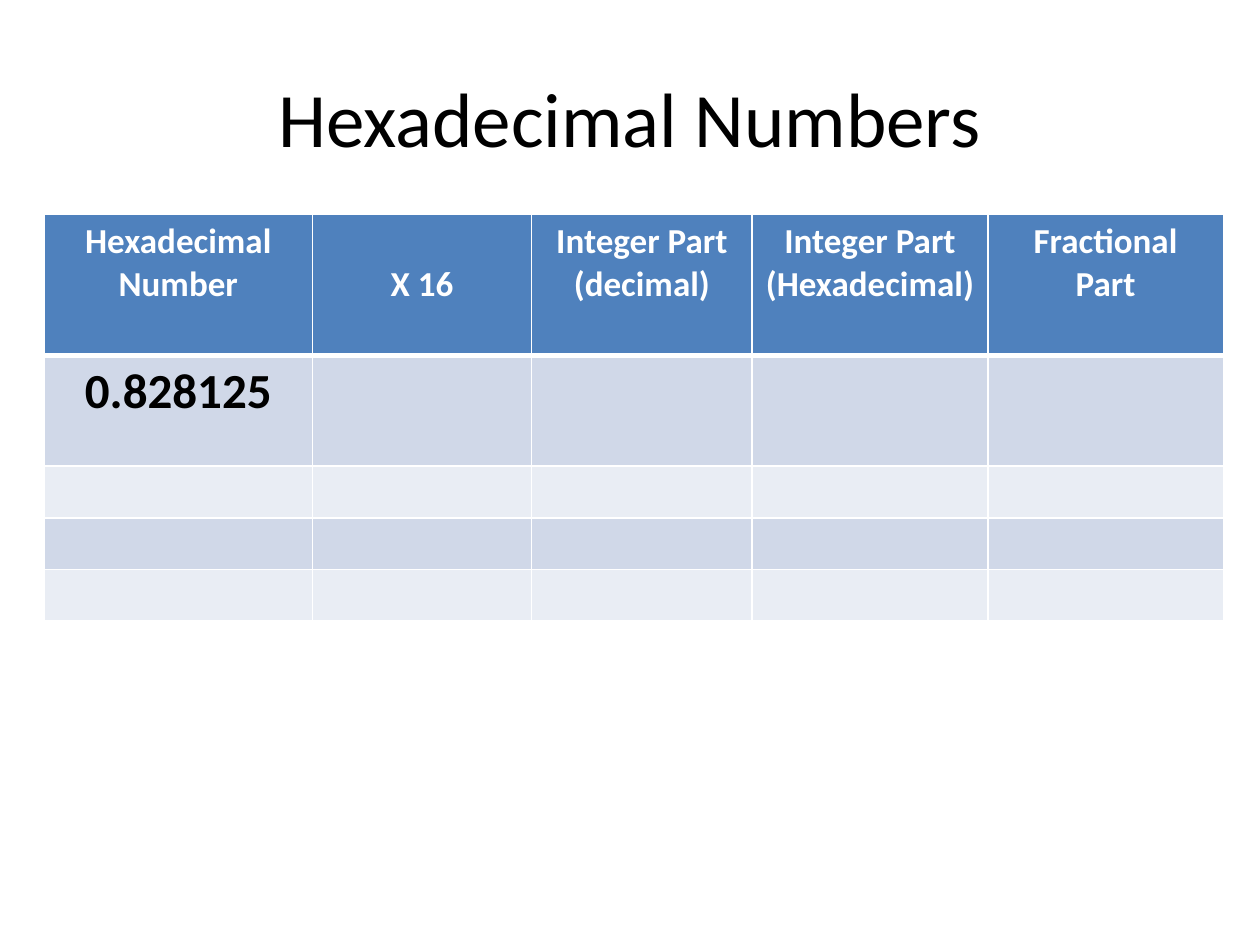
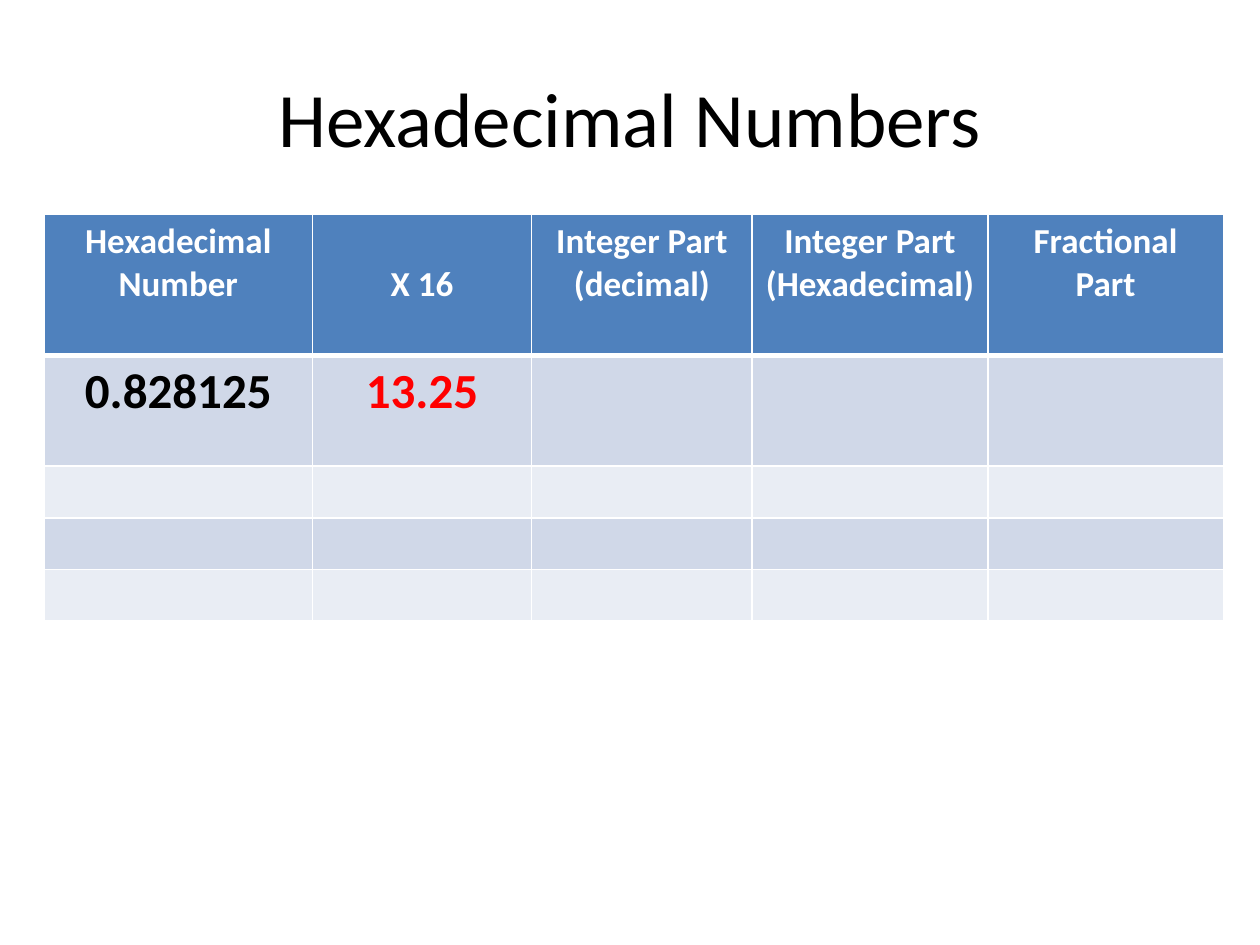
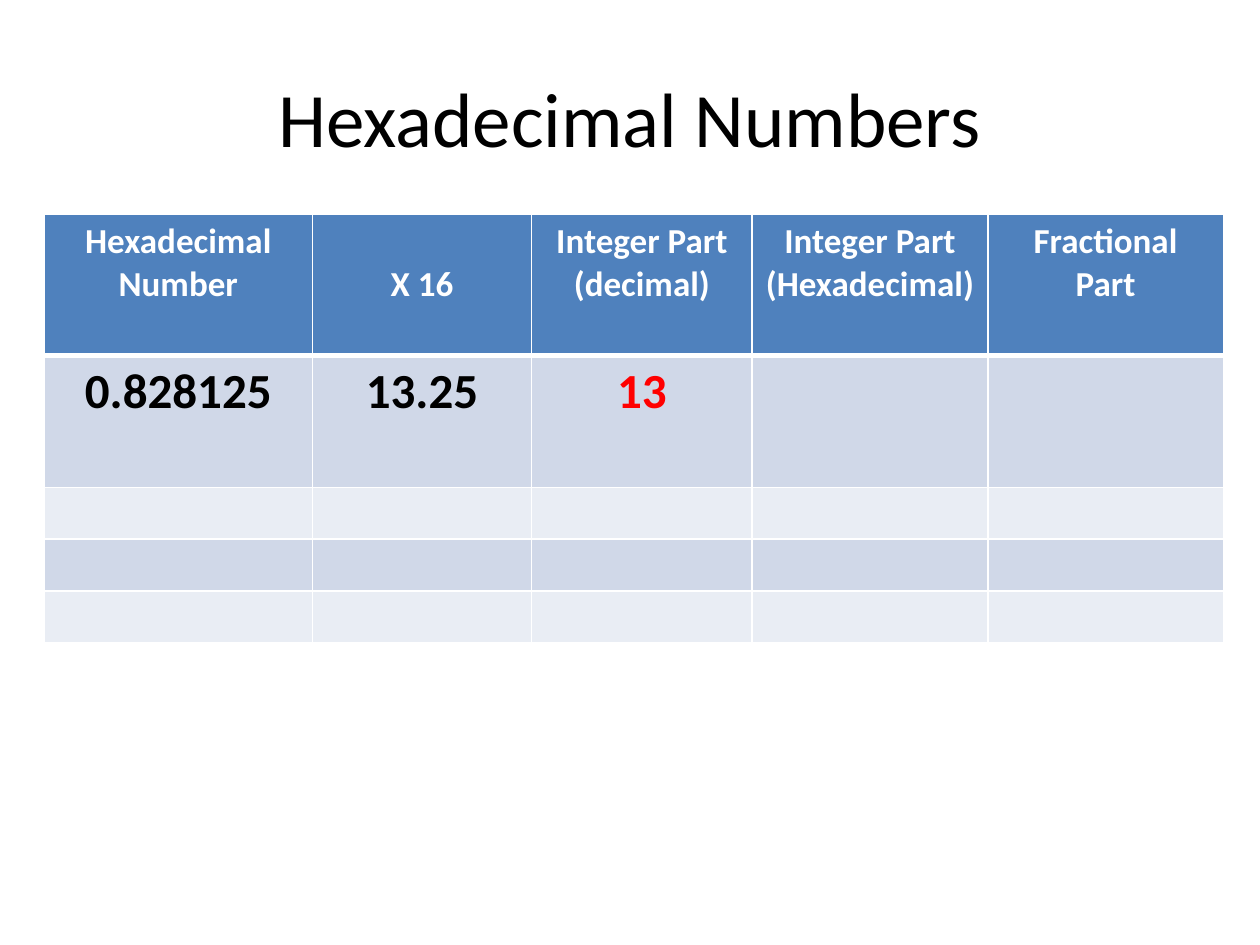
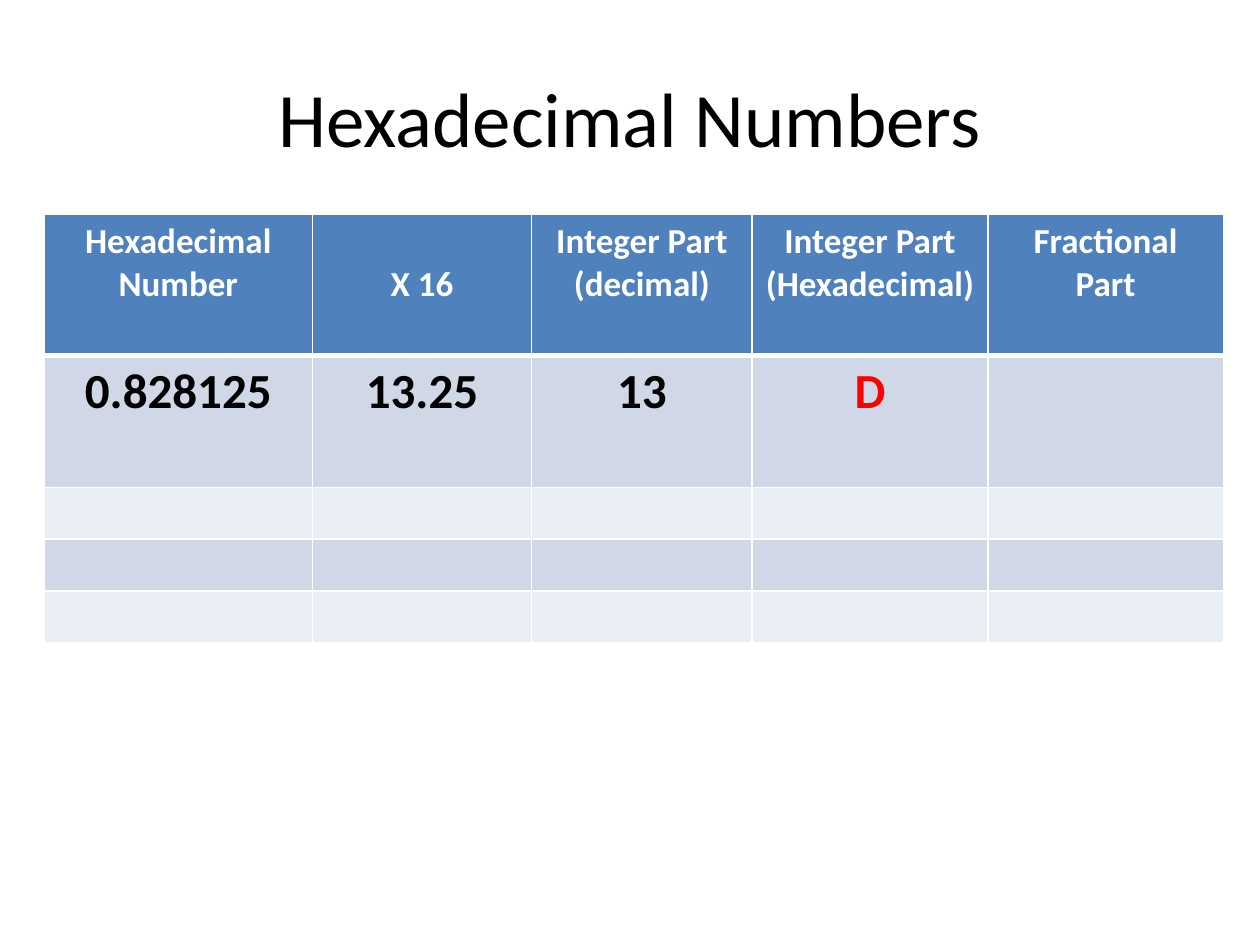
from lxml import etree
from pptx import Presentation
from pptx.dml.color import RGBColor
from pptx.enum.text import MSO_ANCHOR, PP_ALIGN
from pptx.oxml.ns import qn
from pptx.util import Inches, Pt

CENTER = PP_ALIGN.CENTER
MIDDLE = MSO_ANCHOR.MIDDLE

TITLE = "Hexadecimal Numbers"
HEADS = ["Hexadecimal\nNumber", "X 16", "Integer Part\n(decimal)",
         "Integer Part\n(Hexadecimal)", "Fractional\nPart"]
VALUES = ["0.828125", "13.25", "13", "D"]
# Each slide: number of values shown, column of the new one, height of their row
STEPS = [(1, None, 0.88), (2, 1, 0.88), (3, 2, 1.05), (4, 3, 1.05)]

FONT = "Calibri"
BLACK, WHITE, RED = "000000", "FFFFFF", "FF0000"
BLUE, BANDS = "4F81BD", ("D0D8E8", "E9EDF4")
WIDTHS = [2.13, 1.74, 1.75, 1.87, 1.87]
LEFT, TOP = 0.35, 1.7
HEAD_H, ROW_H, EMPTY = 1.12, 0.41, 3
PAD, LINE_H = 0.05, 0.34


def rgb(code):
    """Turn a hex string into a colour."""
    return RGBColor.from_string(code)


def style(frame, size, color, bold=False):
    """Centre all paragraphs of a frame and set their font."""
    for para in frame.paragraphs:
        para.alignment = CENTER
        font = para.font
        font.name, font.size, font.bold = FONT, Pt(size), bold
        font.color.rgb = rgb(color)


def border(cell, top, bottom):
    """Draw white cell borders; top and bottom widths in points."""
    props = cell._tc.get_or_add_tcPr()
    for side, width in (("L", 1), ("R", 1), ("T", top), ("B", bottom)):
        line = etree.SubElement(props, qn("a:ln" + side), w=str(Pt(width)))
        fill = etree.SubElement(line, qn("a:solidFill"))
        etree.SubElement(fill, qn("a:srgbClr"), val=WHITE)


def add_title(slide):
    """Add the slide title."""
    box = slide.shapes.add_textbox(Inches(0.5), Inches(0.3),
                                   Inches(9), Inches(1.25))
    frame = box.text_frame
    frame.word_wrap = True
    frame.vertical_anchor = MIDDLE
    frame.text = TITLE
    style(frame, 44, BLACK)


def add_grid(slide, count, fresh, height):
    """Add the table with the first values shown and the new one in red."""
    heights = [HEAD_H, height] + [ROW_H] * EMPTY
    table = slide.shapes.add_table(
        len(heights), len(WIDTHS), Inches(LEFT), Inches(TOP),
        Inches(sum(WIDTHS)), Inches(sum(heights))).table
    for col, width in zip(table.columns, WIDTHS):
        col.width = Inches(width)
    for row, size in zip(table.rows, heights):
        row.height = Inches(size)
    for r in range(len(heights)):
        for c in range(len(WIDTHS)):
            cell = table.cell(r, c)
            border(cell, 3 if r == 1 else 1, 3 if r == 0 else 1)
            cell.fill.solid()
            cell.fill.fore_color.rgb = rgb(BANDS[(r - 1) % 2] if r else BLUE)
            if r == 0:
                cell.text = HEADS[c]
                style(cell.text_frame, 20, WHITE, True)
                if "\n" not in HEADS[c]:
                    cell.margin_top = Inches(PAD + LINE_H)
            elif r == 1 and c < count:
                cell.text = VALUES[c]
                style(cell.text_frame, 28, RED if c == fresh else BLACK, True)


def main():
    """Build one slide per step and save the deck."""
    deck = Presentation()
    deck.slide_width, deck.slide_height = Inches(10), Inches(7.5)
    for step in STEPS:
        slide = deck.slides.add_slide(deck.slide_layouts[6])
        add_title(slide)
        add_grid(slide, *step)
    deck.save("out.pptx")


main()
